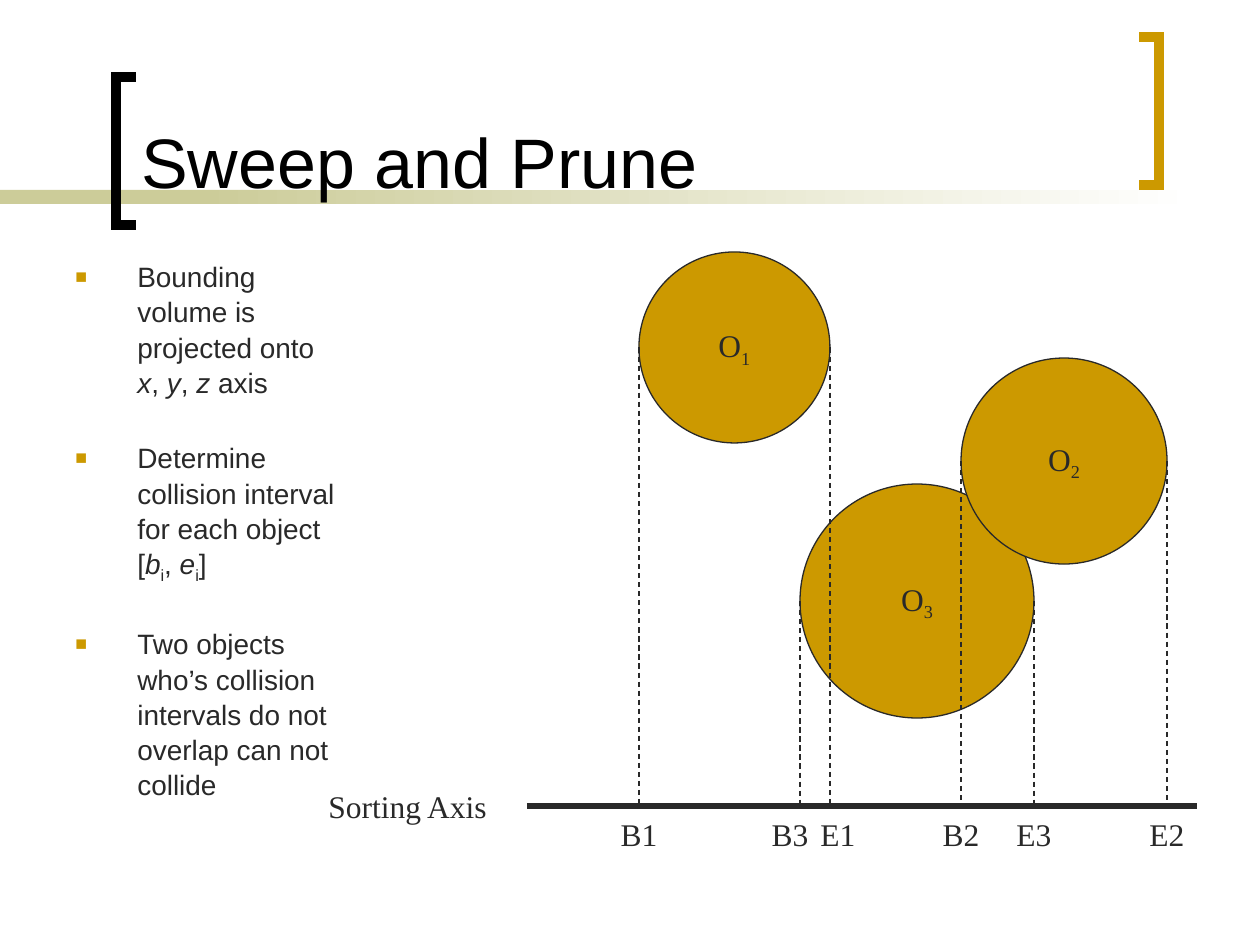
from lxml import etree
from pptx import Presentation
from pptx import util as u
from pptx.dml.color import RGBColor
from pptx.enum import dml, shapes, text
from pptx.oxml.ns import qn

SCALE = 914400 / 126
GOLD, SAND, INK, BLACK, WHITE = "CC9900", "CCCC99", "292929", "000000", "FFFFFF"
SANS, SERIF = "Arial", "Times New Roman"

TITLE = "Sweep and Prune"
# Each bullet is a list of (words, style) spans.
BULLETS = [
    [("Bounding volume is projected onto ", ""), ("x", "italic"), (", ", ""),
     ("y", "italic"), (", ", ""), ("z", "italic"), (" axis", "")],
    [("Determine collision interval for each object [", ""), ("b", "italic"),
     ("i", "sub"), (", ", ""), ("e", "italic"), ("i", "sub"), ("]", "")],
    [("Two objects who’s collision intervals do not overlap can not collide", "")],
]
# number, left, top, diameter, nudge of the B label, nudge of the E label
CIRCLES = [
    (1, 639, 252, 191, 0, 8),
    (3, 800, 484, 234, -10, 0),
    (2, 961, 358, 206, 0, 0),
]
AXIS_LEFT, AXIS_RIGHT, AXIS_Y = 527, 1197, 806
LABEL_WIDTH, LABEL_HEIGHT = 62, 50
# colour, x of the open ends, x of the spine, top
BRACKETS = [(BLACK, 136, 116, 77), (GOLD, 1139, 1159, 37)]
BRACKET_HEIGHT = 148


def px(length):
    return u.Emu(round(length * SCALE))


def colour(code):
    return RGBColor.from_string(code)


def write(shape, paragraphs, size=18, font=SERIF, ink=INK, wrap=False,
          align=text.PP_ALIGN.LEFT, anchor=text.MSO_ANCHOR.TOP):
    """Fill a shape with paragraphs, each a list of (words, style) spans."""
    frame = shape.text_frame
    frame.word_wrap, frame.vertical_anchor = wrap, anchor
    for index, spans in enumerate(paragraphs):
        para = frame.add_paragraph() if index else frame.paragraphs[0]
        para.alignment = align
        for words, style in spans:
            span = para.add_run()
            span.text = words
            span.font.size, span.font.name = u.Pt(size), font
            span.font.color.rgb = colour(ink)
            if style == "italic":
                span.font.italic = True
            elif style == "sub":
                span.font._element.set("baseline", "-25000")
    return frame


def add_text(page, left, top, width, height, paragraphs, **style):
    box = page.shapes.add_textbox(px(left), px(top), px(width), px(height))
    return write(box, paragraphs, **style)


def add_shape(page, kind, left, top, width, height):
    shape = page.shapes.add_shape(kind, px(left), px(top), px(width), px(height))
    shape.shadow.inherit = False
    return shape


def add_line(page, x1, y1, x2, y2, weight=0.75, dashed=False):
    line = page.shapes.add_connector(
        shapes.MSO_CONNECTOR.STRAIGHT, px(x1), px(y1), px(x2), px(y2))
    line.line.color.rgb, line.line.width = colour(INK), u.Pt(weight)
    if dashed:
        line.line.dash_style = dml.MSO_LINE.DASH
    etree.SubElement(line._element.spPr, qn("a:effectLst"))


def add_bullet(para):
    props = para._p.get_or_add_pPr()
    props.set("marL", str(px(62)))
    props.set("indent", str(-px(62)))
    tint = etree.SubElement(props, qn("a:buClr"))
    etree.SubElement(tint, qn("a:srgbClr"), val=GOLD)
    etree.SubElement(props, qn("a:buSzPct"), val="70000")
    etree.SubElement(props, qn("a:buFont"), typeface=SANS)
    etree.SubElement(props, qn("a:buChar"), char="■")


def add_bracket(page, ink, end, spine, top):
    bottom = top + BRACKET_HEIGHT
    builder = page.shapes.build_freeform(end, top, scale=SCALE)
    builder.add_line_segments([(spine, top), (spine, bottom), (end, bottom)], close=False)
    bracket = builder.convert_to_shape()
    bracket.shadow.inherit = False
    bracket.fill.background()
    bracket.line.color.rgb, bracket.line.width = colour(ink), u.Pt(6)
    etree.SubElement(bracket.line._get_or_add_ln(), qn("a:miter"), lim="800000")


def add_band(page):
    rectangle = shapes.MSO_SHAPE.RECTANGLE
    plain = add_shape(page, rectangle, 0, 190, 294, 14)
    plain.fill.solid()
    plain.fill.fore_color.rgb = colour(SAND)
    fading = add_shape(page, rectangle, 199, 190, 998, 14)
    fading.fill.gradient()
    fading.fill.gradient_angle = 0
    for stop, code in zip(fading.fill.gradient_stops, (SAND, WHITE)):
        stop.color.rgb = colour(code)
    for band in (plain, fading):
        band.line.fill.background()


def add_circle(page, number, left, top, diameter):
    circle = add_shape(page, shapes.MSO_SHAPE.OVAL, left, top, diameter, diameter)
    circle.fill.solid()
    circle.fill.fore_color.rgb = colour(GOLD)
    circle.line.color.rgb, circle.line.width = colour(INK), u.Pt(0.75)
    write(circle, [[("O", ""), (str(number), "sub")]],
          align=text.PP_ALIGN.CENTER, anchor=text.MSO_ANCHOR.MIDDLE)


def add_interval(page, number, left, top, diameter, begin_nudge, end_nudge):
    """Project a circle's sides onto the axis and label both ends."""
    ends = (("B", left, begin_nudge), ("E", left + diameter, end_nudge))
    for letter, x, nudge in ends:
        add_line(page, x, top + diameter / 2, x, AXIS_Y, dashed=True)
        add_text(page, x + nudge - LABEL_WIDTH / 2, AXIS_Y + 3, LABEL_WIDTH,
                 LABEL_HEIGHT, [[(f"{letter}{number}", "")]],
                 align=text.PP_ALIGN.CENTER)


def main():
    deck = Presentation()
    deck.slide_width, deck.slide_height = px(1260), px(945)
    page = deck.slides.add_slide(deck.slide_layouts[6])

    add_band(page)
    for bracket in BRACKETS:
        add_bracket(page, *bracket)
    add_text(page, 129, 14, 987, 195, [[(TITLE, "")]], size=40, font=SANS,
             ink=BLACK, wrap=True, anchor=text.MSO_ANCHOR.BOTTOM)

    frame = add_text(page, 63, 252, 292, 592, BULLETS, size=16, font=SANS, wrap=True)
    for para in frame.paragraphs:
        para.line_spacing = 1.05
        para.space_before, para.space_after = u.Pt(4), u.Pt(19)
        add_bullet(para)

    for number, left, top, diameter, *_ in CIRCLES:
        add_circle(page, number, left, top, diameter)
    add_line(page, AXIS_LEFT, AXIS_Y, AXIS_RIGHT, AXIS_Y, weight=3)
    add_text(page, 316, 781, 185, LABEL_HEIGHT, [[("Sorting Axis", "")]])
    for circle in CIRCLES:
        add_interval(page, *circle)

    deck.save("out.pptx")


if __name__ == "__main__":
    main()
